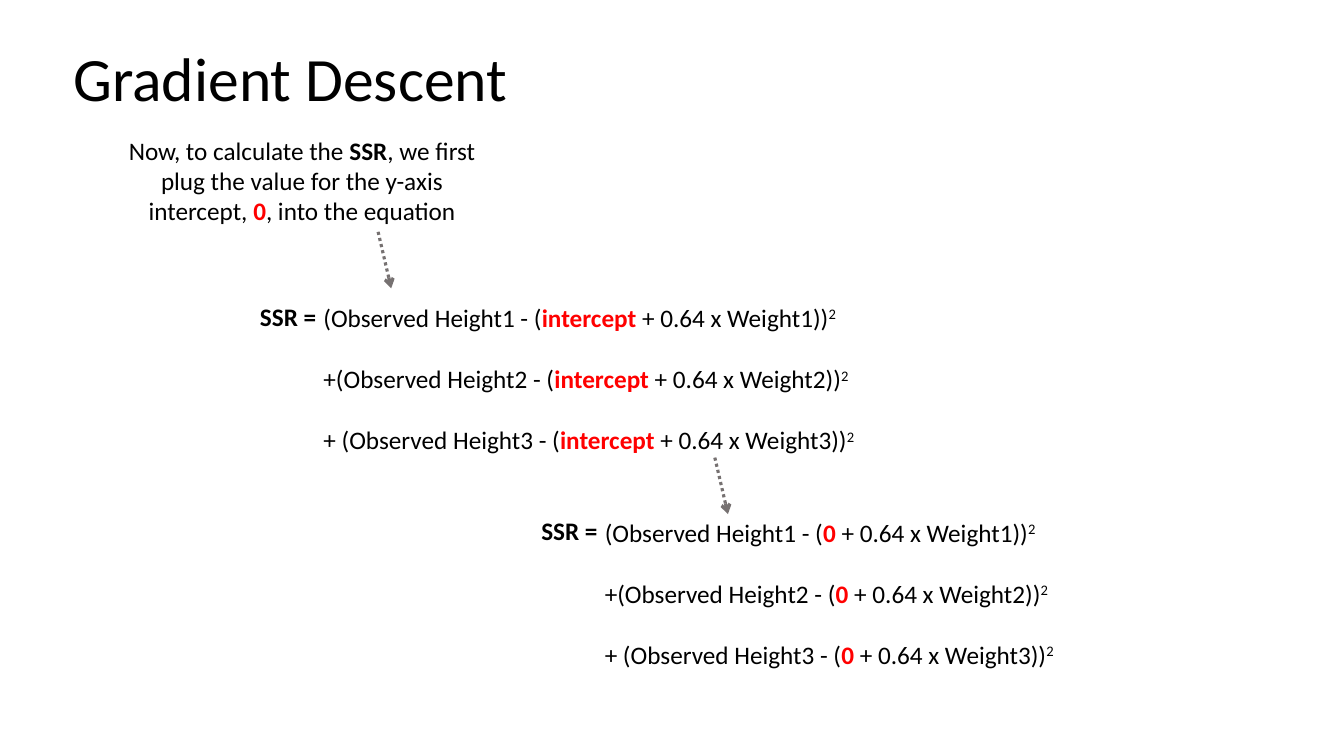
import pptx
import pptx.dml.color
import pptx.enum.shapes
import pptx.enum.text
import pptx.oxml.ns
import pptx.util
from lxml import etree

PX = 9144  # EMU per px, 100 px to the inch
FONT = "Calibri"
BLACK, RED, GRAY = "000000", "FF0000", "767171"
BOLD = {"bold": True}
HIGHLIGHT = {"bold": True, "color": RED}
SQUARED = {"baseline": 30}
ANCHOR = pptx.enum.text.MSO_ANCHOR
ALIGN = pptx.enum.text.PP_ALIGN


def px(length):
    return pptx.util.Emu(length * PX)


def set_color(color_format, value):
    color_format.rgb = pptx.dml.color.RGBColor.from_string(value)


def add_run(paragraph, text, size=18, color=BLACK, bold=False, baseline=0):
    run = paragraph.add_run()
    run.text = text
    run.font.name = FONT
    run.font.size = pptx.util.Pt(size)
    run.font.bold = bold
    set_color(run.font.color, color)
    if baseline:
        run._r.get_or_add_rPr().set("baseline", str(baseline * 1000))


def add_text(slide, box, paragraphs, align=ALIGN.LEFT, anchor=ANCHOR.TOP,
             line_spacing=1.0, space_after=0):
    """Each paragraph is a list of (text, run format) pairs."""
    shape = slide.shapes.add_textbox(*map(px, box))
    frame = shape.text_frame
    frame.word_wrap = True
    frame.vertical_anchor = anchor
    for index, runs in enumerate(paragraphs):
        paragraph = frame.add_paragraph() if index else frame.paragraphs[0]
        paragraph.alignment = align
        paragraph.line_spacing = line_spacing
        paragraph.space_after = pptx.util.Pt(space_after)
        for text, run_format in runs:
            add_run(paragraph, text, **run_format)


def add_equation(slide, left, top, label_left, label_top, intercept):
    terms = [
        [
            (f"{sign}(Observed Height{number} - (", {}),
            (intercept, HIGHLIGHT),
            (f" + 0.64 x Weight{number}))", {}),
            ("2", SQUARED),
        ]
        for number, sign in enumerate(("", "+", "+ "), start=1)
    ]
    add_text(slide, (left, top, 600, 162), terms, space_after=22)
    add_text(slide, (label_left, label_top, 91, 40), [[("SSR =", BOLD)]])


def add_dotted_arrow(slide, left, top):
    arrow = slide.shapes.add_connector(
        pptx.enum.shapes.MSO_CONNECTOR.STRAIGHT,
        px(left), px(top), px(left + 13), px(top + 56))
    arrow.line.width = pptx.util.Pt(2.25)
    arrow.line.fill.solid()
    set_color(arrow.line.fill.fore_color, GRAY)
    qualify = pptx.oxml.ns.qn
    line = arrow.line.get_or_add_ln() if hasattr(arrow.line, "get_or_add_ln") else arrow.get_or_add_ln()
    etree.SubElement(line, qualify("a:prstDash"), val="sysDot")
    etree.SubElement(line, qualify("a:tailEnd"), type="arrow")
    etree.SubElement(arrow.element.spPr, qualify("a:effectLst"))


def main():
    presentation = pptx.Presentation()
    presentation.slide_width = px(1333)
    presentation.slide_height = px(750)
    slide = presentation.slides.add_slide(presentation.slide_layouts[6])

    # Title and explanation
    add_text(slide, (63, 8, 682, 145), [[("Gradient Descent", {"size": 44})]],
             anchor=ANCHOR.MIDDLE, line_spacing=0.9)
    add_text(slide, (115, 129, 369, 101), [[
        ("Now, to calculate the ", {}),
        ("SSR", BOLD),
        (", we first plug the value for the y-axis intercept, ", {}),
        ("0", HIGHLIGHT),
        (", into the equation", {}),
    ]], align=ALIGN.CENTER)

    # Equation before and after plugging in the intercept
    add_equation(slide, 311, 295, 248, 294, "intercept")
    add_equation(slide, 590, 508, 527, 506, "0")

    # Arrows between the steps
    add_dotted_arrow(slide, 375, 230)
    add_dotted_arrow(slide, 709, 454)

    presentation.save("out.pptx")


if __name__ == "__main__":
    main()
